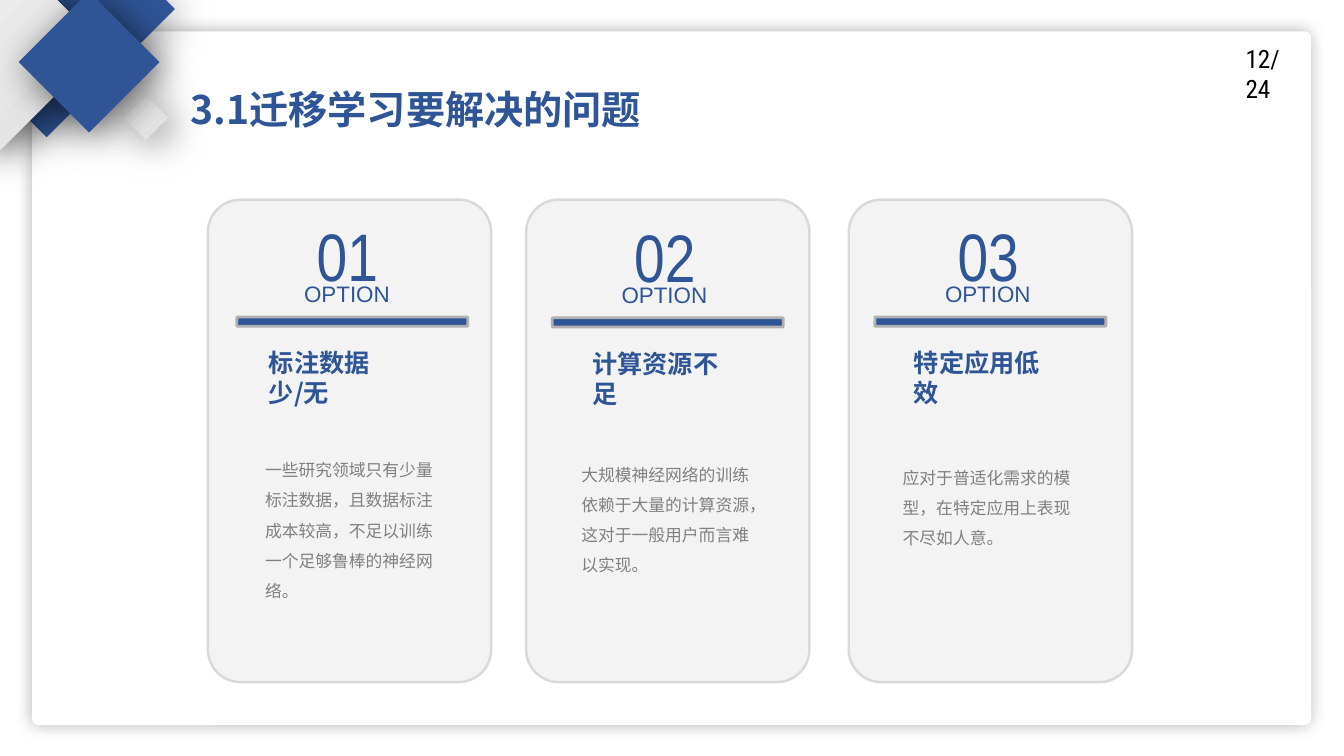
"""Build the slide on the three problems that transfer learning addresses."""
from lxml.etree import SubElement
from pptx import Presentation
from pptx.dml.color import RGBColor
from pptx.enum.shapes import MSO_SHAPE
from pptx.enum.text import MSO_ANCHOR, PP_ALIGN
from pptx.oxml.ns import qn
from pptx.util import Cm, Pt

COLORS = {
    "blue": "2F5597", "white": "FFFFFF", "black": "000000", "card": "F3F3F3",
    "card_edge": "D9D9D9", "bar_edge": "B0B0B0", "body": "808080",
    "silver_dark": "E0E0E0", "silver_light": "F2F2F2",
}
CJK = "Noto Sans CJK SC"
FORMATS = {
    "title": {"size": Pt(28), "bold": True, "name": CJK},
    "page": {"size": Pt(18), "name": "Roboto Condensed"},
    "number": {"size": Pt(48), "name": "Arial Narrow"},
    "option": {"size": Pt(16), "name": "Arial"},
    "heading": {"size": Pt(18), "bold": True, "name": CJK},
    "body": {"size": Pt(12), "name": CJK},
}


def write(holder, text, style, color, align=PP_ALIGN.LEFT, spacing=1.0):
    frame = holder.text_frame
    frame.word_wrap = True
    paragraph = frame.paragraphs[0]
    paragraph.alignment = align
    paragraph.line_spacing = spacing
    run = paragraph.add_run()
    run.text = text
    for attribute, value in FORMATS[style].items():
        setattr(run.font, attribute, value)
    run.font.color.rgb = RGBColor.from_string(COLORS[color])
    SubElement(run.font._element, qn("a:ea"), typeface=FORMATS[style]["name"])


def add_panel(kind, box, fill, edge=None, width=0, corner=None, shadow=None):
    panel = slide.shapes.add_shape(kind, *map(Cm, box))
    panel.shadow.inherit = False
    if fill == "silver":
        panel.fill.gradient()
        panel.fill.gradient_angle = 180
        for stop, tone in zip(panel.fill.gradient_stops, ("silver_dark", "silver_light")):
            stop.color.rgb = RGBColor.from_string(COLORS[tone])
    else:
        panel.fill.solid()
        panel.fill.fore_color.rgb = RGBColor.from_string(COLORS[fill])
    if edge:
        panel.line.color.rgb = RGBColor.from_string(COLORS[edge])
        panel.line.width = Pt(width)
    else:
        panel.line.fill.background()
    if corner is not None:
        panel.adjustments[0] = corner
    if shadow:
        opacity, blur, distance, angle = shadow
        effects = panel._element.spPr.find(qn("a:effectLst"))
        outer = SubElement(effects, qn("a:outerShdw"), blurRad=str(Pt(blur)),
                           dist=str(Pt(distance)), dir=str(angle * 60000),
                           algn="ctr", rotWithShape="0")
        tint = SubElement(outer, qn("a:srgbClr"), val=COLORS["black"])
        SubElement(tint, qn("a:alpha"), val=str(opacity * 1000))
    return panel


presentation = Presentation()
presentation.slide_width, presentation.slide_height = Cm(33.87), Cm(19.05)
slide = presentation.slides.add_slide(presentation.slide_layouts[5])

add_panel(MSO_SHAPE.ROUNDED_RECTANGLE, (0.81, 0.79, 32.23, 17.48), "white",
          corner=0.009, shadow=(30, 12, 0, 0))
for left, top, side, fill, opacity in [
    (-1.11, -2.06, 4.57, "blue", 28),
    (-1.83, -0.66, 3.68, "silver", 59),
    (3.28, 2.57, 0.79, "silver", 51),
    (0.99, 0.31, 2.51, "blue", 59),
]:
    diamond = add_panel(MSO_SHAPE.RECTANGLE, (left, top, side, side), fill,
                        shadow=(opacity, 28, 7, 45))
    diamond.rotation = 45

problems = [
    ("01", "标注数据少/无",
     "一些研究领域只有少量标注数据，且数据标注成本较高，不足以训练一个足够鲁棒的神经网络。",
     5.24, 6.94, 5.97, 6.53, 6.43, 11.21, 4.09, 0),
    ("02", "计算资源不足",
     "大规模神经网络的训练依赖于大量的计算资源，这对于一般用户而言难以实现。",
     13.26, 14.94, 13.92, 14.68, 14.4, 11.32, 3.33, 0.02),
    ("03", "特定应用低效",
     "应对于普适化需求的模型，在特定应用上表现不尽如人意。",
     21.39, 23.09, 22.05, 22.78, 22.5, 11.4, 2.57, 0),
]
for (number, heading, explanation, card_left, number_left, bar_left, heading_left,
     body_left, body_top, body_height, drop) in problems:
    add_panel(MSO_SHAPE.ROUNDED_RECTANGLE, (card_left, 5.03, 7.14, 12.16), "card",
              "card_edge", 1.75, 0.115)
    add_panel(MSO_SHAPE.ROUNDED_RECTANGLE, (bar_left, 7.99 + drop, 5.82, 0.23),
              "blue", "bar_edge", 2, 0.086)
    for text, style, color, align, spacing, box in [
        (number, "number", "blue", PP_ALIGN.CENTER, 1,
         (number_left, 5.28 + drop, 3.63, 2.31)),
        ("OPTION", "option", "blue", PP_ALIGN.CENTER, 1,
         (number_left + 0.33, 6.93 + drop, 2.95, 0.94)),
        (heading, "heading", "blue", PP_ALIGN.LEFT, 1,
         (heading_left, 8.63 + drop, 3.8, 1.78)),
        (explanation, "body", "body", PP_ALIGN.LEFT, 1.5,
         (body_left, body_top, 4.93, body_height)),
    ]:
        write(slide.shapes.add_textbox(*map(Cm, box)), text, style, color, align, spacing)

title = slide.shapes.title
title_box = {"left": Cm(4.55), "top": Cm(1.78), "width": Cm(12.17), "height": Cm(1.9)}
for attribute, value in title_box.items():
    setattr(title, attribute, value)
title.text_frame.vertical_anchor = MSO_ANCHOR.MIDDLE
write(title, "3.1迁移学习要解决的问题", "title", "blue")
slide.shapes._spTree.append(title._element)

page = slide.shapes.add_textbox(Cm(31.14), Cm(0.97), Cm(1.65), Cm(1.78))
write(page, "12/24", "page", "black")

presentation.save("out.pptx")
